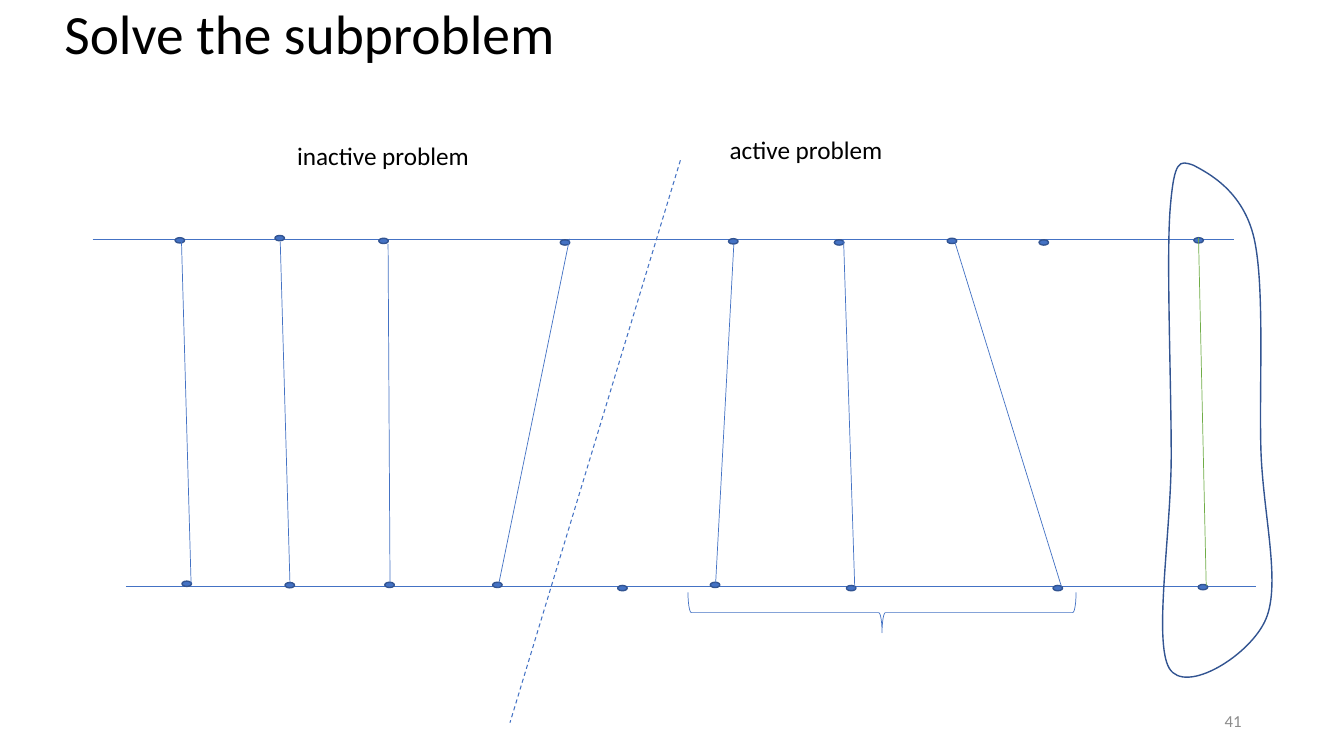
from lxml.etree import SubElement
from pptx import Presentation
from pptx.dml.color import RGBColor
from pptx.enum.dml import MSO_LINE
from pptx.enum.shapes import MSO_CONNECTOR, MSO_SHAPE
from pptx.enum.text import MSO_ANCHOR, PP_ALIGN
from pptx.oxml.ns import qn
from pptx.util import Pt

BLUE = RGBColor(0x44, 0x72, 0xC4)
NAVY = RGBColor(0x32, 0x54, 0x91)
GREEN = RGBColor(0x70, 0xAD, 0x47)
BLACK = RGBColor(0, 0, 0)
GREY = RGBColor(0x8C, 0x8C, 0x8C)

# text, (left, top, width, height), size, colour, wrap
TITLE = ("Solve the subproblem", (38.9, 6.5, 496.8, 39.6), 39.6, BLACK, True)
LABELS = [
    ("inactive problem", (205.2, 96.7, 139, 28.8), 18, BLACK, False),
    ("active problem", (514.1, 92.4, 129.6, 28.8), 18, BLACK, False),
]
NUMBER = ("41", (678, 500.4, 216, 28.8), 12, GREY, True)

# x1, y1, x2, y2
RAILS = [(66.2, 171.1, 881.3, 171.1), (90, 419, 897.1, 419)]
LINKS = [
    (129.6, 171.4, 136.5, 416.9),
    (200.2, 172.8, 207.1, 416.2),
    (277.2, 174.2, 278.6, 416.2),
    (406.8, 170.6, 355.7, 419.8),
    (524.2, 174.2, 511.2, 416.2),
    (602.6, 172.1, 610.6, 421.2),
    (681.6, 171.4, 758.2, 419),
]
LAST_LINK = (856.1, 169.9, 861.6, 418.3)
DIVIDER = (486, 114.5, 364.3, 516.2)

# dot centres
DOT_W, DOT_H = 6.8, 3.8
TOP_DOTS = [
    (128.5, 171.7), (199.8, 170.1), (274, 172.1), (403.6, 173.2),
    (523.8, 172.4), (599.4, 173.2), (680, 172.1), (745.6, 173.2),
    (856.2, 171.7),
]
LOW_DOTS = [
    (133.4, 417), (207, 418), (278.3, 417.8), (355.3, 417.8),
    (444.6, 420.1), (510.8, 417.8), (608, 420.1), (755.6, 420.1),
    (859.3, 419.4),
]

BRACE = (615.6, 299, 28.8, 277.2)

# Bézier loop: start, then two control points and an end per curve
LOOP_BOX = (830.2, 116.6, 78.5, 367.2)
LOOP_START = (852.5, 118.1)
LOOP_CURVES = [
    ((842.4, 114.5), (838.8, 113.8), (835.9, 148.3)),
    ((833, 182.9), (836.6, 270.7), (836.6, 325.4)),
    ((836.6, 380.2), (823.7, 457.9), (835.2, 477.4)),
    ((846.7, 496.8), (893.5, 468), (904.3, 442.1)),
    ((915.1, 416.2), (902.2, 367.2), (900.7, 321.8)),
    ((899.3, 276.5), (903.6, 203.8), (895.7, 169.9)),
    ((887.8, 136.1), (862.6, 123.5), LOOP_START),
]


def add_text(shapes, text, box, size, color, wrap):
    frame = shapes.add_textbox(*map(Pt, box)).text_frame
    frame.word_wrap = wrap
    frame.text = text
    font = frame.paragraphs[0].runs[0].font
    font.name, font.size = "Calibri", Pt(size)
    font.color.rgb = color
    return frame


def add_line(shapes, ends, color=BLUE, width=0.5):
    line = shapes.add_connector(MSO_CONNECTOR.STRAIGHT, *map(Pt, ends))
    line.line.color.rgb = color
    line.line.width = Pt(width)
    SubElement(line._element.spPr, qn("a:effectLst"))
    return line


def style(shape, color, width, fill=None):
    shape.shadow.inherit = False
    shape.line.color.rgb = color
    shape.line.width = Pt(width)
    if fill is None:
        shape.fill.background()
    else:
        shape.fill.solid()
        shape.fill.fore_color.rgb = fill


def add_dot(shapes, x, y):
    box = (x - DOT_W / 2, y - DOT_H / 2, DOT_W, DOT_H)
    style(shapes.add_shape(MSO_SHAPE.OVAL, *map(Pt, box)), NAVY, 1, BLUE)


def add_loop(shapes):
    """Draw the closed loop, its outline rebuilt from true Bézier curves."""
    left, top, width, height = map(Pt, LOOP_BOX)
    pen = shapes.build_freeform(*map(Pt, LOOP_START))
    pen.add_line_segments([tuple(map(Pt, c[-1])) for c in LOOP_CURVES])
    loop = pen.convert_to_shape()
    loop.left, loop.top, loop.width, loop.height = left, top, width, height

    outline = next(loop._element.spPr.iter(qn("a:path")))
    outline.set("w", str(width))
    outline.set("h", str(height))
    for child in list(outline):
        outline.remove(child)

    def draw(tag, points):
        step = SubElement(outline, qn(tag))
        for x, y in points:
            SubElement(step, qn("a:pt"), x=str(Pt(x) - left),
                       y=str(Pt(y) - top))

    draw("a:moveTo", [LOOP_START])
    for points in LOOP_CURVES:
        draw("a:cubicBezTo", points)
    draw("a:close", [])
    style(loop, NAVY, 1)


def main():
    deck = Presentation()
    deck.slide_width, deck.slide_height = Pt(960), Pt(540)
    shapes = deck.slides.add_slide(deck.slide_layouts[6]).shapes

    title = add_text(shapes, *TITLE)
    title.vertical_anchor = MSO_ANCHOR.MIDDLE
    title.paragraphs[0].line_spacing = 0.9

    for ends in RAILS:
        add_line(shapes, ends)
    for x, y in TOP_DOTS + LOW_DOTS:
        add_dot(shapes, x, y)
    for ends in LINKS:
        add_line(shapes, ends)
    add_line(shapes, LAST_LINK, GREEN)
    add_line(shapes, DIVIDER, width=0.75).line.dash_style = MSO_LINE.DASH

    for label in LABELS:
        add_text(shapes, *label)
    add_loop(shapes)
    brace = shapes.add_shape(MSO_SHAPE.RIGHT_BRACE, *map(Pt, BRACE))
    brace.rotation = 90
    style(brace, BLUE, 0.5)

    number = add_text(shapes, *NUMBER)
    number.vertical_anchor = MSO_ANCHOR.MIDDLE
    number.paragraphs[0].alignment = PP_ALIGN.RIGHT
    deck.save("out.pptx")


if __name__ == "__main__":
    main()
